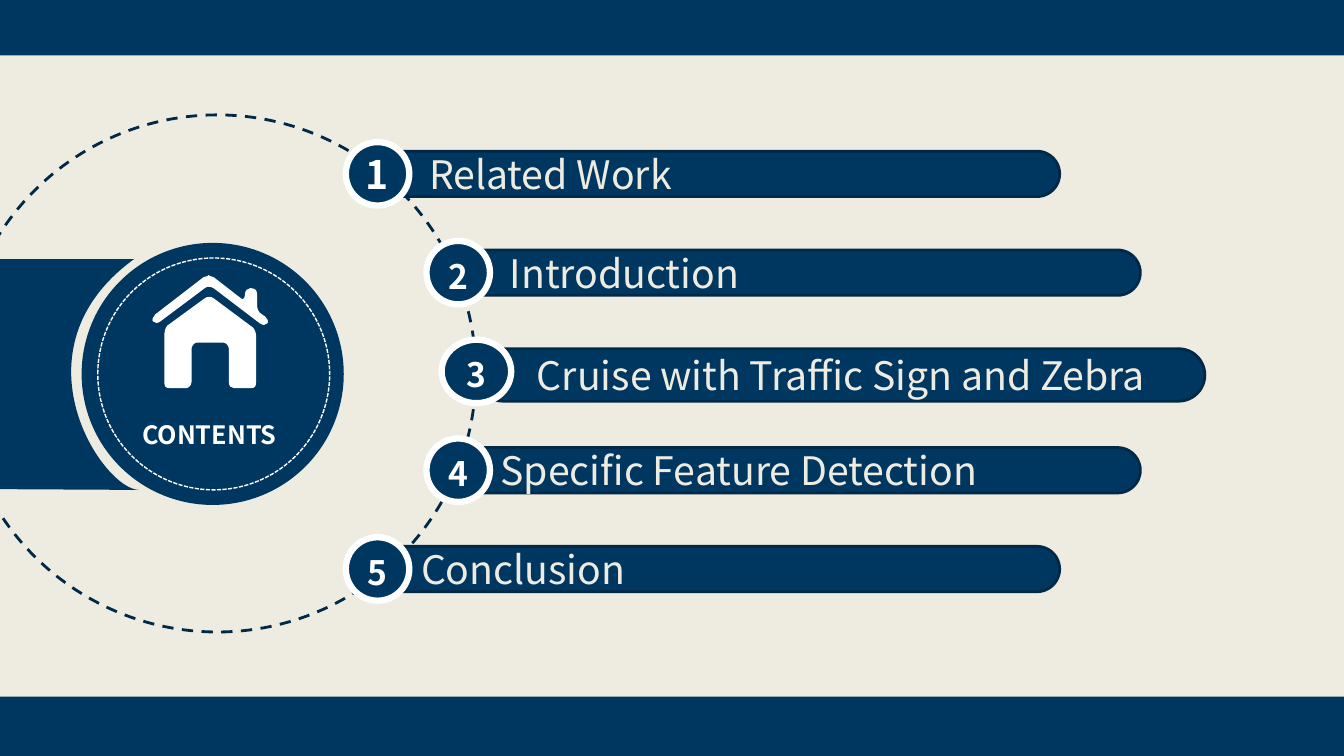
import pptx
import pptx.util
import pptx.dml.color
import pptx.enum.dml
import pptx.enum.shapes
import pptx.enum.text
import pptx.oxml
import pptx.oxml.ns
from dataclasses import dataclass

TITLE = "CONTENTS"
SECTIONS = [
    dict(text="Related Work", left=3.74, indent=0.45, number_size=28, drop=0),
    dict(text="Introduction", left=4.54, indent=0.45),
    dict(text="Cruise with Traffic Sign and Zebra", left=4.73, indent=0.52,
         bar=(7.22, 0.52), badge=(0.35, 0.69)),
    dict(text="Specific Feature Detection", left=4.54, indent=0.36),
    dict(text="Conclusion", left=3.74, indent=0.37),
]

TAB = [(-0.5, 2.57), (1.33, 2.57), (0.09, 3.47, 1.02, 4.86, 1.38, 4.86), (-0.5, 4.85)]
HOUSE_WALLS = [
    (2.12, 2.96), (2.1, 2.94, 2.05, 2.94, 2.03, 2.96), (1.66, 3.23),
    (1.64, 3.25, 1.63, 3.29, 1.63, 3.33), (1.63, 3.79),
    (1.63, 3.83, 1.64, 3.85, 1.68, 3.85), (1.85, 3.85),
    (1.86, 3.85, 1.9, 3.83, 1.9, 3.79), (1.9, 3.46),
    (1.9, 3.44, 1.92, 3.4, 1.95, 3.4), (2.22, 3.4),
    (2.25, 3.4, 2.27, 3.44, 2.27, 3.46), (2.27, 3.79),
    (2.27, 3.83, 2.29, 3.85, 2.32, 3.85), (2.49, 3.85),
    (2.53, 3.85, 2.54, 3.83, 2.54, 3.79), (2.54, 3.33),
    (2.54, 3.31, 2.53, 3.27, 2.51, 3.25),
]
HOUSE_ROOF = [
    (2.6, 3.12), (2.56, 3.1, 2.55, 3.06, 2.55, 3.02), (2.55, 2.92),
    (2.55, 2.88, 2.53, 2.86, 2.49, 2.86), (2.48, 2.86),
    (2.46, 2.86, 2.43, 2.88, 2.43, 2.92), (2.43, 2.96, 2.41, 2.98, 2.39, 2.96),
    (2.12, 2.75), (2.1, 2.75, 2.07, 2.73, 2.07, 2.73),
    (2.07, 2.73, 2.05, 2.75, 2.02, 2.75), (1.54, 3.12),
    (1.52, 3.14, 1.5, 3.18, 1.52, 3.19), (1.54, 3.21, 1.56, 3.21, 1.59, 3.19),
    (2.03, 2.86), (2.05, 2.84, 2.09, 2.84, 2.12, 2.86), (2.58, 3.21),
    (2.6, 3.23, 2.63, 3.23, 2.65, 3.21), (2.67, 3.19, 2.65, 3.16, 2.63, 3.14),
]


@dataclass(frozen=True)
class Theme:
    font: str = "Noto Sans CJK SC"
    navy: str = "003760"
    edge: str = "002947"
    cream: str = "EEECE1"
    white: str = "FFFFFF"
    title_size: int = 18
    item_size: int = 28
    number_size: int = 24


T = Theme()
W, H = 13.33, 7.5
BAND = 0.59
BAR = (6.77, 0.45)
FIRST_ROW, PITCH = 1.5, 0.98
BADGE = (0.31, 0.63)
BADGE_HEIGHT, BADGE_RISE = 0.63, 0.09
NUMBER_DROP = 0.03
MSO = pptx.enum.shapes.MSO_SHAPE
DASH = pptx.enum.dml.MSO_LINE
ALIGN = pptx.enum.text.PP_ALIGN
MIDDLE = pptx.enum.text.MSO_ANCHOR.MIDDLE
inch = pptx.util.Inches
qn = pptx.oxml.ns.qn


def rgb(value):
    return pptx.dml.color.RGBColor.from_string(value)


def paint(sp, fill=None, line=None, width=1, dash=None):
    sp.shadow.inherit = False
    if fill:
        sp.fill.solid()
        sp.fill.fore_color.rgb = rgb(fill)
    else:
        sp.fill.background()
    if line:
        sp.line.color.rgb = rgb(line)
        sp.line.width = pptx.util.Pt(width)
        if dash:
            sp.line.dash_style = dash
    else:
        sp.line.fill.background()


def add(s, kind, box, **style):
    sp = s.shapes.add_shape(kind, *map(inch, box))
    paint(sp, **style)
    return sp


def write(sp, text, size, color, bold=False, align=ALIGN.LEFT):
    tf = sp.text_frame
    tf.text = text
    tf.word_wrap = True
    tf.vertical_anchor = MIDDLE
    p = tf.paragraphs[0]
    p.alignment = align
    f = p.runs[0].font
    f.name, f.size, f.bold = T.font, pptx.util.Pt(size), bold
    f.color.rgb = rgb(color)
    return tf


def add_outline(s, outline, fill):
    points = [(inch(seg[i]), inch(seg[i + 1]))
              for seg in outline for i in range(0, len(seg), 2)]
    builder = s.shapes.build_freeform(*points[0])
    builder.add_line_segments(points[1:], close=True)
    sp = builder.convert_to_shape()
    paint(sp, fill=fill)
    steps = iter(list(sp.element.iter(qn("a:lnTo"))))
    for seg in outline[1:]:
        step = next(steps)
        if len(seg) == 6:
            step.tag = qn("a:cubicBezTo")
            for control in (next(steps), next(steps)):
                step.append(control[0])
                control.getparent().remove(control)


def add_title(s):
    title = s.shapes.title
    s.shapes.element.append(title.element)
    title.left, title.top, title.width, title.height = map(inch, (1.31, 4.08, 1.68, 0.46))
    tf = write(title, TITLE, T.title_size, T.white, bold=True)
    tf.auto_size = pptx.enum.text.MSO_AUTO_SIZE.NONE


def add_section(s, row, section):
    left, top = section["left"], FIRST_ROW + row * PITCH
    bar = add(s, MSO.ROUNDED_RECTANGLE, (left, top, *section.get("bar", BAR)),
              fill=T.navy, line=T.edge, width=2)
    bar.adjustments[0] = 0.5
    tf = write(bar, section["text"], T.item_size, T.cream)
    tf.margin_left = inch(section["indent"])

    shift, width = section.get("badge", BADGE)
    x, y = left - shift, top - BADGE_RISE
    add(s, MSO.OVAL, (x, y, width, BADGE_HEIGHT),
        fill=T.navy, line=T.white, width=4.5)
    y += section.get("drop", NUMBER_DROP)
    number = s.shapes.add_textbox(*map(inch, (x, y, width, BADGE_HEIGHT)))
    write(number, str(row + 1), section.get("number_size", T.number_size),
          T.white, bold=True, align=ALIGN.CENTER)


def main():
    prs = pptx.Presentation()
    prs.slide_width, prs.slide_height = inch(W), inch(H)
    s = prs.slides.add_slide(prs.slide_layouts[5])
    s.background.fill.solid()
    s.background.fill.fore_color.rgb = rgb(T.cream)

    add(s, MSO.OVAL, (-0.41, 1.14, 5.13, 5.13), fill=T.cream,
        line=T.edge, width=2, dash=DASH.DASH)
    add_outline(s, TAB, T.navy)
    add(s, MSO.OVAL, (0.81, 2.41, 2.6, 2.6), fill=T.navy)
    for outline in (HOUSE_WALLS, HOUSE_ROOF):
        add_outline(s, outline, T.white)
    add_title(s)
    add(s, MSO.OVAL, (0.97, 2.56, 2.3, 2.3), line=T.white, dash=DASH.SQUARE_DOT)
    for top in (-0.04, H - BAND):
        add(s, MSO.RECTANGLE, (0, top, W, BAND), fill=T.navy)
    for row, section in enumerate(SECTIONS):
        add_section(s, row, section)
    prs.save("out.pptx")


if __name__ == "__main__":
    main()
